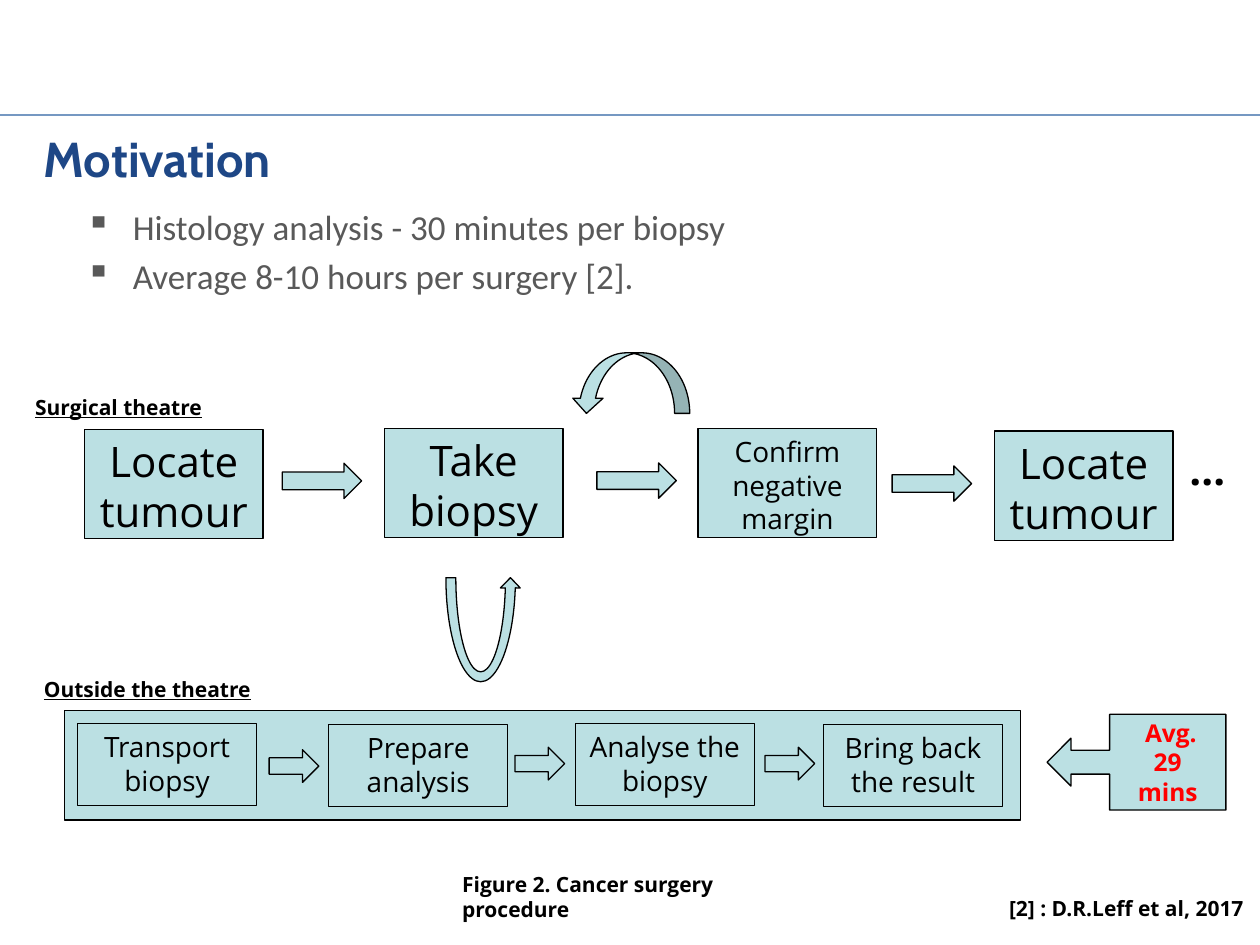
from lxml import etree
from pptx import Presentation
from pptx.dml.color import RGBColor
from pptx.enum.shapes import MSO_CONNECTOR, MSO_SHAPE
from pptx.enum.text import MSO_ANCHOR, PP_ALIGN
from pptx.oxml.ns import qn
from pptx.util import Pt

RECTANGLE = MSO_SHAPE.RECTANGLE
RIGHT_ARROW = MSO_SHAPE.RIGHT_ARROW
TOP, MIDDLE = MSO_ANCHOR.TOP, MSO_ANCHOR.MIDDLE
LEFT, CENTER = PP_ALIGN.LEFT, PP_ALIGN.CENTER

FONT = "Open Sans"
TEAL, BLACK, RED = "BBE0E3", "000000", "FF0000"
NAVY, GREY, RULE = "1E4786", "595959", "7598C2"

# Content (lengths in points)
TITLE = "Motivation"
BULLETS = ["Histology analysis - 30 minutes per biopsy",
           "Average 8-10 hours per surgery [2]."]

# Each step: text, left, top, text size; each arrow: left, top
THEATRE = {
    "box": (102.2, 62.6), "arrow": (45.4, 20.2),
    "steps": [("Locate tumour", 48.2, 245.3, 24),
              ("Take biopsy", 219.6, 244.8, 24),
              ("Confirm negative margin", 398.9, 244.8, 16),
              ("Locate tumour", 568.1, 246.4, 24)],
    "arrows": [(161.3, 264.7), (341.1, 264.5), (509.8, 266.2)],
}
OUTSIDE = {
    "box": (102.2, 46.8), "arrow": (28.4, 18.7),
    "steps": [("Transport biopsy", 44.4, 413.4, 16),
              ("Prepare analysis", 187.9, 414, 16),
              ("Analyse the biopsy", 328.8, 413.4, 16),
              ("Bring back the result", 470.7, 414, 16)],
    "arrows": [(153.8, 428.4), (294.3, 427), (437.2, 427)],
}

# Text, left, top, width, height, size, underline
LABELS = [
    ("Surgical theatre", 13, 221.8, 244, 21.6, 12, True),
    ("Outside the theatre", 18, 383, 244, 21.6, 12, True),
    ("…", 672.5, 249.8, 36.7, 36, 24, False),
    ("Figure 2. Cancer surgery procedure", 257, 494.6, 215.3, 22.3, 12, False),
    ("[2] : D.R.Leff et al, 2017", 569.5, 508.3, 164.2, 22.3, 12, False),
]


def color(value):
    return RGBColor.from_string(value)


def write(shape, texts, size, font=FONT, ink=BLACK, bold=False,
          underline=False, align=LEFT, anchor=TOP):
    frame = shape.text_frame
    frame.word_wrap = True
    frame.vertical_anchor = anchor
    for index, text in enumerate(texts):
        paragraph = frame.add_paragraph() if index else frame.paragraphs[0]
        paragraph.text = text
        paragraph.alignment = align
        paragraph.font.name = font
        paragraph.font.size = Pt(size)
        paragraph.font.bold = bold
        paragraph.font.underline = underline
        paragraph.font.color.rgb = color(ink)
    return frame


def add_text(slide, box, texts, size, **style):
    shape = slide.shapes.add_textbox(*map(Pt, box))
    return write(shape, texts, size, **style)


def add_block(slide, kind, *box):
    shape = slide.shapes.add_shape(kind, *map(Pt, box))
    shape.shadow.inherit = False
    shape.fill.solid()
    shape.fill.fore_color.rgb = color(TEAL)
    shape.line.color.rgb = color(BLACK)
    shape.line.width = Pt(0.75)
    return shape


def flip(shape):
    shape._element.spPr.find(qn("a:xfrm")).set("flipH", "1")


def add_flow(slide, flow):
    for text, left, top, size in flow["steps"]:
        step = add_block(slide, RECTANGLE, left, top, *flow["box"])
        write(step, [text], size, align=CENTER)
    for left, top in flow["arrows"]:
        add_block(slide, RIGHT_ARROW, left, top, *flow["arrow"])


def add_bullet(paragraph):
    paragraph.space_before = Pt(4)
    properties = paragraph._p.get_or_add_pPr()
    properties.set("marL", str(Pt(27)))
    properties.set("indent", str(Pt(-27)))
    etree.SubElement(properties, qn("a:buChar")).set("char", "▪")
    # Bullet definitions must precede the default run properties
    defaults = properties.find(qn("a:defRPr"))
    if defaults is not None:
        properties.append(defaults)


def main():
    presentation = Presentation()
    presentation.slide_width, presentation.slide_height = Pt(720), Pt(540)
    slide = presentation.slides.add_slide(presentation.slide_layouts[6])

    # Header rule, title and bullets
    rule = slide.shapes.add_connector(
        MSO_CONNECTOR.STRAIGHT, Pt(0), Pt(65.7), Pt(720), Pt(65.7))
    rule.line.color.rgb = color(RULE)
    rule.line.width = Pt(0.75)
    etree.SubElement(rule._element.spPr, qn("a:effectLst"))
    add_text(slide, (18, 66.2, 648, 48.2), [TITLE], 28, font="Cabin",
             ink=NAVY, bold=True, anchor=MIDDLE)
    body = add_text(slide, (41.8, 113.8, 624.2, 342), BULLETS, 20,
                    font="Calibri", ink=GREY)
    for paragraph in body.paragraphs:
        add_bullet(paragraph)

    # Surgical theatre flow, with the arrow looping back
    add_flow(slide, THEATRE)
    repeat_arrow = add_block(
        slide, MSO_SHAPE.CURVED_DOWN_ARROW, 326.5, 201.6, 67.7, 34.6)
    flip(repeat_arrow)

    # Arrow out of the theatre and back
    detour_arrow = add_block(
        slide, MSO_SHAPE.CIRCULAR_ARROW, 252, 267.8, 45.4, 124.6)
    detour_arrow.rotation = 180
    flip(detour_arrow)

    # Flow outside the theatre, with its duration
    add_block(slide, RECTANGLE, 36.7, 406.1, 546.5, 62.6)
    add_flow(slide, OUTSIDE)
    duration = add_block(
        slide, MSO_SHAPE.LEFT_ARROW_CALLOUT, 598.3, 408.2, 102.2, 54.7)
    write(duration, [" Avg. 29 mins"], 14, ink=RED, bold=True,
          align=CENTER, anchor=MIDDLE)

    # Labels, caption and reference
    for text, left, top, width, height, size, underline in LABELS:
        add_text(slide, (left, top, width, height), [text], size,
                 bold=True, underline=underline)

    presentation.save("out.pptx")


if __name__ == "__main__":
    main()
